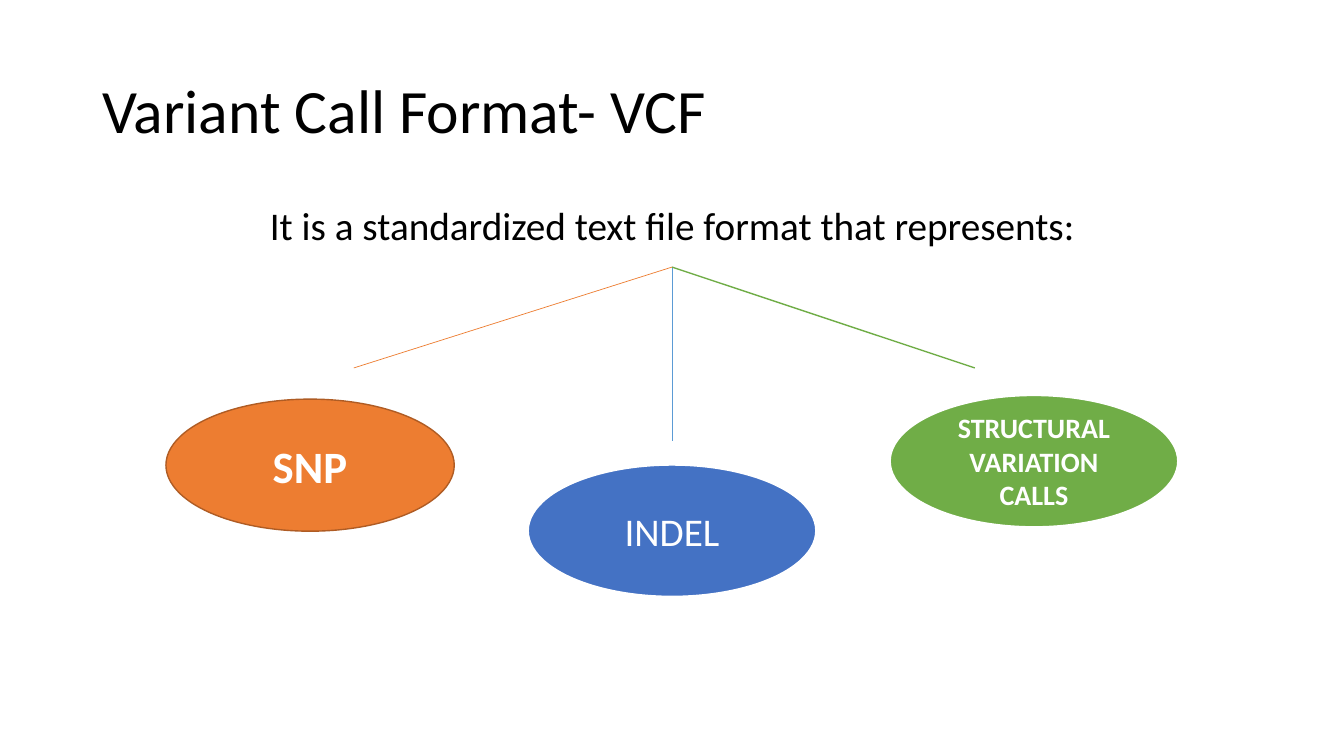
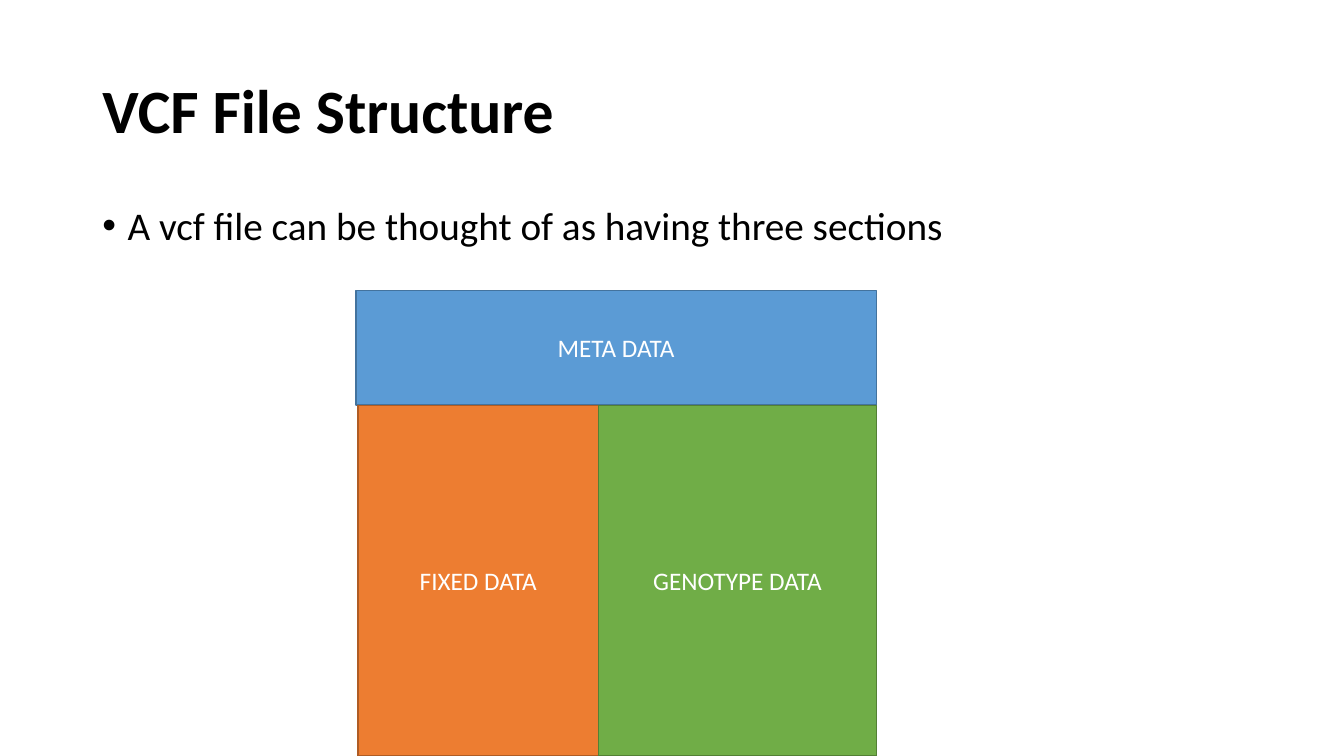
from typing import NamedTuple, Optional

import pptx
import pptx.dml.color
import pptx.enum.shapes
import pptx.enum.text
import pptx.oxml.ns
import pptx.util
from lxml import etree

RGB = pptx.dml.color.RGBColor
SHAPE = pptx.enum.shapes.MSO_SHAPE
ALIGN = pptx.enum.text.PP_ALIGN
ANCHOR = pptx.enum.text.MSO_ANCHOR
qn = pptx.oxml.ns.qn

BLACK = RGB(0x00, 0x00, 0x00)
WHITE = RGB(0xFF, 0xFF, 0xFF)
ORANGE = RGB(0xED, 0x7D, 0x31)
DARK_ORANGE = RGB(0xAF, 0x5C, 0x24)
ROYAL_BLUE = RGB(0x44, 0x72, 0xC4)
SKY_BLUE = RGB(0x5B, 0x9B, 0xD5)
DARK_BLUE = RGB(0x43, 0x73, 0x9E)
GREEN = RGB(0x70, 0xAD, 0x47)
DARK_GREEN = RGB(0x53, 0x80, 0x35)

FONT = "Calibri"
SLIDE_W = pptx.util.Inches(13.33)
SLIDE_H = pptx.util.Inches(7.5)


class Box(NamedTuple):
    """Left, top, width and height in percent of the slide's size."""
    left: float
    top: float
    width: float
    height: float


class Block(NamedTuple):
    text: str
    box: Box
    fill: RGB
    line: RGB
    line_pt: float = 1
    size: float = 18
    bold: bool = False


class Branch(NamedTuple):
    """A line from the apex to a point in percent of the slide's size."""
    x: float
    y: float
    color: RGB
    width_pt: float


TITLE_BOX = Box(6.88, 5.33, 86.25, 19.33)
BODY_BOX = Box(6.88, 26.67, 86.25, 63.47)

# Three ellipses spread evenly about the slide's centre
OVAL_W, OVAL_H, OVAL_STEP = 21.45, 17.47, 26.93


def oval_box(column: int, top: float) -> Box:
    return Box(50 - OVAL_W / 2 + (column - 1) * OVAL_STEP, top, OVAL_W, OVAL_H)


VARIANTS = [
    Block("SNP", oval_box(0, 52.8), ORANGE, DARK_ORANGE, 1, 32, True),
    Block("INDEL", oval_box(1, 61.47), ROYAL_BLUE, WHITE, 1.5, 28),
    Block("STRUCTURAL VARIATION CALLS", oval_box(2, 52.27), GREEN, WHITE, 1.5, 20, True),
]
APEX = (50, 35.33)
BRANCHES = [
    Branch(26.33, 48.67, ORANGE, 0.5),
    Branch(50, 58.4, SKY_BLUE, 0.5),
    Branch(72.53, 48.67, GREEN, 1),
]

META_TOP, DATA_TOP = 38.4, 53.6
FIXED_LEFT, GENOTYPE_LEFT, DATA_RIGHT = 26.63, 44.55, 65.2
SECTIONS = [
    Block("META DATA", Box(26.48, META_TOP, DATA_RIGHT - 26.48, DATA_TOP - META_TOP),
          SKY_BLUE, DARK_BLUE),
    Block("FIXED DATA", Box(FIXED_LEFT, DATA_TOP, GENOTYPE_LEFT - FIXED_LEFT, 100 - DATA_TOP),
          ORANGE, DARK_ORANGE),
    Block("GENOTYPE DATA",
          Box(GENOTYPE_LEFT, DATA_TOP, DATA_RIGHT - GENOTYPE_LEFT, 100 - DATA_TOP),
          GREEN, DARK_GREEN),
]


def across(share: float) -> int:
    return round(SLIDE_W * share / 100)


def down(share: float) -> int:
    return round(SLIDE_H * share / 100)


def place(box: Box) -> tuple[int, int, int, int]:
    return across(box.left), down(box.top), across(box.width), down(box.height)


def write(tf, text: str, size: float, color: RGB, bold: bool = False,
          align: Optional[ALIGN] = None, anchor: ANCHOR = ANCHOR.MIDDLE):
    """Fill a text frame with one run and return its paragraph."""
    tf.word_wrap = True
    tf.vertical_anchor = anchor
    p = tf.paragraphs[0]
    p.alignment = align
    r = p.add_run()
    r.text = text
    r.font.name = FONT
    r.font.size = pptx.util.Pt(size)
    r.font.bold = bold
    r.font.color.rgb = color
    return p


def add_title(s, text: str, bold: bool = False) -> None:
    tf = s.shapes.add_textbox(*place(TITLE_BOX)).text_frame
    write(tf, text, 44, BLACK, bold).line_spacing = 0.9


def add_body(s, text: str, bullet: bool = False) -> None:
    tf = s.shapes.add_textbox(*place(BODY_BOX)).text_frame
    align = ALIGN.LEFT if bullet else ALIGN.CENTER
    p = write(tf, text, 28, BLACK, align=align, anchor=ANCHOR.TOP)
    p.line_spacing = 0.9
    p.space_before = pptx.util.Pt(10)
    if bullet:
        indent = pptx.util.Inches(0.25)
        pPr = p._p.get_or_add_pPr()
        pPr.set("marL", str(indent))
        pPr.set("indent", str(-indent))
        etree.SubElement(pPr, qn("a:buFont")).set("typeface", "Arial")
        etree.SubElement(pPr, qn("a:buChar")).set("char", "•")


def add_block(s, kind: SHAPE, block: Block) -> None:
    sp = s.shapes.add_shape(kind, *place(block.box))
    sp.shadow.inherit = False
    sp.fill.solid()
    sp.fill.fore_color.rgb = block.fill
    sp.line.color.rgb = block.line
    sp.line.width = pptx.util.Pt(block.line_pt)
    write(sp.text_frame, block.text, block.size, WHITE, block.bold, ALIGN.CENTER)


def add_branch(s, branch: Branch) -> None:
    line = s.shapes.add_connector(
        pptx.enum.shapes.MSO_CONNECTOR.STRAIGHT,
        across(APEX[0]), down(APEX[1]), across(branch.x), down(branch.y))
    line.line.color.rgb = branch.color
    line.line.width = pptx.util.Pt(branch.width_pt)
    etree.SubElement(line._element.spPr, qn("a:effectLst"))


def build_format_slide(s) -> None:
    add_title(s, "Variant Call Format- VCF")
    add_body(s, "It is a standardized text file format that represents:")
    for variant in VARIANTS:
        add_block(s, SHAPE.OVAL, variant)
    for branch in BRANCHES:
        add_branch(s, branch)


def build_structure_slide(s) -> None:
    add_title(s, "VCF File Structure", bold=True)
    add_body(s, "A vcf file can be thought of as having three sections", bullet=True)
    for section in SECTIONS:
        add_block(s, SHAPE.RECTANGLE, section)


def main() -> None:
    prs = pptx.Presentation()
    prs.slide_width, prs.slide_height = SLIDE_W, SLIDE_H
    blank = prs.slide_layouts[6]
    for build in (build_format_slide, build_structure_slide):
        build(prs.slides.add_slide(blank))
    prs.save("out.pptx")


if __name__ == "__main__":
    main()
